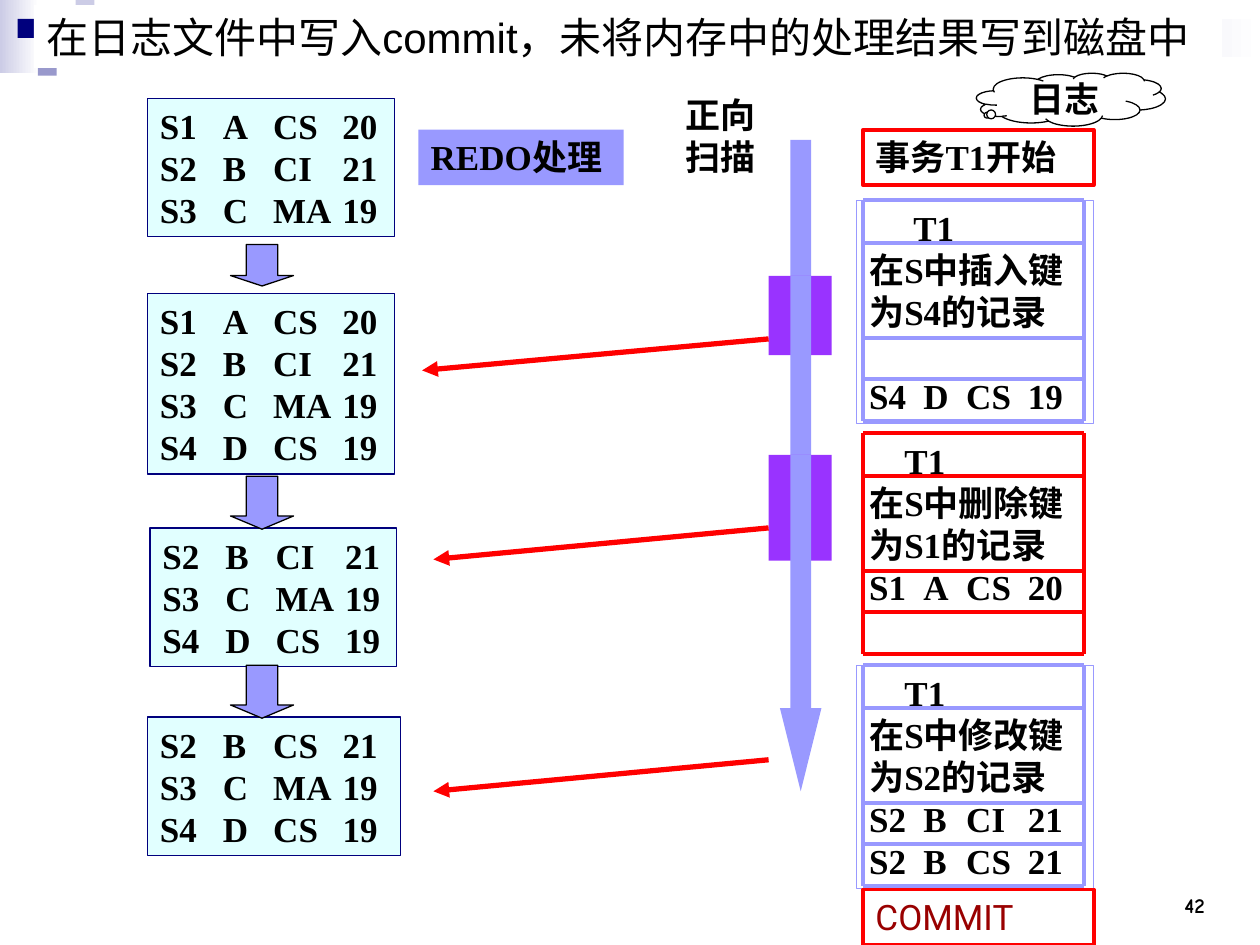
from pptx import Presentation
from pptx.dml.color import RGBColor
from pptx.enum.shapes import MSO_CONNECTOR as Link, MSO_SHAPE as Form
from pptx.enum.text import MSO_ANCHOR as Anchor, PP_ALIGN as Align
from pptx.oxml.ns import qn
from pptx.util import Inches, Pt
from lxml.etree import SubElement

BLACK = RGBColor(0x00, 0x00, 0x00)
WHITE = RGBColor(0xFF, 0xFF, 0xFF)
NAVY = RGBColor(0x00, 0x00, 0x7D)
MIST = RGBColor(0xCC, 0xCC, 0xE6)
SLATE = RGBColor(0x99, 0x99, 0xCC)
CYAN = RGBColor(0xE1, 0xFF, 0xFF)
LILAC = RGBColor(0x99, 0x99, 0xFF)
PURPLE = RGBColor(0x99, 0x33, 0xFF)
RED = RGBColor(0xFF, 0x00, 0x00)
MAROON = RGBColor(0x99, 0x00, 0x00)

STATE_TABS = (0.5, 0.9, 1.45)
LOG_TABS = (0.43, 0.77, 1.26)
LOG_LEFT, LOG_RIGHT = 6.85, 8.6
LOG_RULES = (0, 0.34, 1.09, 1.42, 1.75)
INSERT, DELETE, UPDATE = "S4\tD\tCS\t19", "S1\tA\tCS\t20", "S2\tB\tCI\t21"
STATES = [
    (1.17, 0.78, 1.96, ["S1\tA\tCS\t20", "S2\tB\tCI\t21", "S3\tC\tMA\t19"]),
    (1.17, 2.33, 1.96, ["S1\tA\tCS\t20", "S2\tB\tCI\t21", "S3\tC\tMA\t19", "S4\tD\tCS\t19"]),
    (1.19, 4.19, 1.96, ["S2\tB\tCI\t21", "S3\tC\tMA\t19", "S4\tD\tCS\t19"]),
    (1.17, 5.69, 2.01, ["S2\tB\tCS\t21", "S3\tC\tMA\t19", "S4\tD\tCS\t19"]),
]
LOGS = [
    (1.59, 1.77, LILAC, LILAC, 0.35, 24, ["T1", "在S中插入键", "为S4的记录", INSERT]),
    (3.44, 1.44, RED, None, 0.28, 0, ["T1", "在S中删除键", "为S1的记录", DELETE]),
    (5.28, 1.77, LILAC, LILAC, 0.28, 0,
     ["T1", "在S中修改键", "为S2的记录", UPDATE, "S2\tB\tCS\t21"]),
]


def write(shape, lines, size=20, font="Times New Roman", color=BLACK, bold=True, align=Align.LEFT,
          anchor=Anchor.TOP, wrap=True, pitch=None, tabs=(), indent=0, last_gap=0):
    """Fill a shape with one paragraph per line."""
    frame = shape.text_frame
    frame.word_wrap = wrap
    frame.vertical_anchor = anchor
    frame.margin_left = Inches(0.1)
    frame.margin_right = Inches(0 if align == Align.LEFT else 0.1)
    frame.margin_top = frame.margin_bottom = Inches(0.05)
    for index, line in enumerate(lines):
        para = frame.paragraphs[0] if index == 0 else frame.add_paragraph()
        para.alignment = align
        if pitch:
            para.line_spacing = Pt(pitch)
        if last_gap and index == len(lines) - 1:
            para.space_before = Pt(last_gap)
        props = para._p.get_or_add_pPr()
        if indent and index == 0:
            props.set("marL", str(Inches(indent)))
        if "\t" in line:
            stops = SubElement(props, qn("a:tabLst"))
            for stop in tabs:
                SubElement(stops, qn("a:tab"), pos=str(Inches(stop)), algn="l")
        span = para.add_run()
        span.text = line
        span.font.size, span.font.name, span.font.bold = Pt(size), font, bold
        span.font.color.rgb = color


class Board:
    """Hold the current page and draw elements on it in one style."""

    def __init__(self, page):
        self.shapes = page.shapes

    def shape(self, form, left, top, width, height, fill=None, line=None, weight=0.75, adjust=()):
        shape = self.shapes.add_shape(form, *map(Inches, (left, top, width, height)))
        shape.shadow.inherit = False
        if fill is None:
            shape.fill.background()
        else:
            shape.fill.solid()
            shape.fill.fore_color.rgb = fill
        if line is None:
            shape.line.fill.background()
        else:
            shape.line.color.rgb = line
            shape.line.width = Pt(weight)
        for index, value in enumerate(adjust):
            shape.adjustments[index] = value
        return shape

    def box(self, *place, **style):
        return self.shape(Form.RECTANGLE, *place, **style)

    def fade(self, *place, start):
        box = self.box(*place)
        box.fill.gradient()
        box.fill.gradient_angle = 0
        for stop, color in zip(box.fill.gradient_stops, (start, WHITE)):
            stop.color.rgb = color

    def down_arrow(self, left, top, width, height, head, line=None):
        self.shape(Form.DOWN_ARROW, left, top, width, height, LILAC, line, adjust=(0.5, head))

    def line(self, x1, y1, x2, y2, color, weight=2.25, arrow=False):
        line = self.shapes.add_connector(Link.STRAIGHT, *map(Inches, (x1, y1, x2, y2)))
        line.line.color.rgb = color
        line.line.width = Pt(weight)
        props = line._element.spPr
        if arrow:
            SubElement(props.find(qn("a:ln")), qn("a:tailEnd"), type="triangle")
        SubElement(props, qn("a:effectLst"))

    def text(self, lines, left, top, width, height, **style):
        box = self.shapes.add_textbox(*map(Inches, (left, top, width, height)))
        write(box, lines, **style)

    def state(self, left, top, width, rows):
        box = self.box(left, top, width, 0.1 + len(rows) / 3, fill=CYAN, line=NAVY)
        write(box, rows, pitch=24, tabs=STATE_TABS)

    def log(self, top, height, color, border, indent, gap, rows):
        box = self.box(6.8, top, 1.88, height, line=border)
        write(box, rows, pitch=24, tabs=LOG_TABS, indent=indent, last_gap=gap)
        for rule in LOG_RULES:
            self.line(LOG_LEFT, top + rule, LOG_RIGHT, top + rule, color)
        for side in (LOG_LEFT, LOG_RIGHT):
            self.line(side, top, side, top + LOG_RULES[-1], color)


def main():
    deck = Presentation()
    deck.slide_width, deck.slide_height = Inches(10), Inches(7.5)
    board = Board(deck.slides.add_slide(deck.slide_layouts[6]))

    board.fade(0, 0, 0.31, 0.58, start=MIST)
    board.fade(0.45, 0.15, 9.55, 0.3, start=NAVY)
    for left, top, color in ((0.6, 0, MIST), (0.14, 0.15, NAVY), (0.3, 0.45, SLATE)):
        board.box(left, top, 0.15, 0.15, fill=color)
    board.text(["42"], 8.83, 6.83, 0.83, 0.5, size=12, font="Comic Neue",
               align=Align.RIGHT, anchor=Anchor.BOTTOM)

    for state in STATES:
        board.state(*state)
    for top, height in ((1.94, 0.33), (3.78, 0.42), (5.28, 0.42)):
        board.down_arrow(1.83, top, 0.5, height, 0.25, line=BLACK)

    cloud = board.shape(Form.CLOUD_CALLOUT, 7.75, 0.58, 1.5, 0.42, WHITE, BLACK,
                        adjust=(-0.45, 0.3))
    write(cloud, ["日志"], align=Align.CENTER, anchor=Anchor.MIDDLE, wrap=False)
    write(board.box(6.85, 1.03, 1.83, 0.44, line=RED, weight=2.25), ["事务T1开始"])
    for log in LOGS:
        board.log(*log)
    write(board.box(6.85, 7.06, 1.83, 0.44, line=RED, weight=2.25), ["COMMIT"],
          font="Roboto", color=MAROON, bold=False)

    write(board.box(3.32, 1.03, 1.63, 0.44, fill=LILAC), ["REDO处理"], wrap=False)
    write(board.box(5.34, 0.69, 0.76, 0.77, fill=WHITE), ["正向", "扫描"], pitch=24)
    board.down_arrow(6.19, 1.11, 0.33, 1.58, 1.19)
    for top, block, length, head in ((2.19, 0.63, 2, 1.5), (3.61, 0.84, 2.67, 2)):
        board.box(6.1, top, 0.5, block, fill=PURPLE)
        board.down_arrow(6.19, top, 0.33, length, head)
    for top, end in ((2.69, 3.35), (4.19, 3.44), (6.03, 3.44)):
        board.line(6.1, top, end, top + 0.25, RED, weight=3, arrow=True)

    write(board.box(0.27, 0.04, 9.43, 0.5, fill=WHITE),
          ["在日志文件中写入commit，未将内存中的处理结果写到磁盘中"],
          size=24, font="Arial", bold=False, wrap=False)
    deck.save("out.pptx")


if __name__ == "__main__":
    main()
